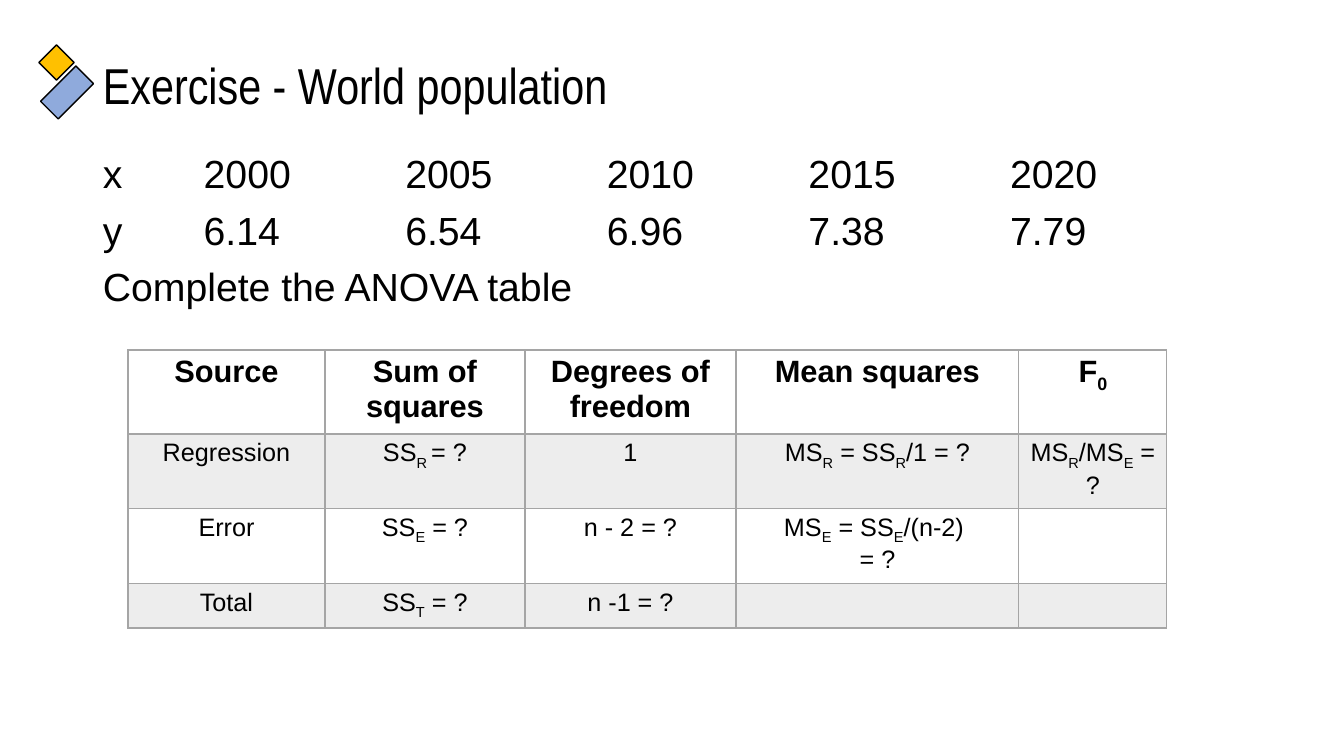
from dataclasses import dataclass

from lxml import etree
from pptx import Presentation
from pptx import util as u
from pptx.dml import color
from pptx.enum import shapes, text
from pptx.oxml import ns

SCALE = 914400 / 100.8
BLACK, GREY = "000000", "A5A5A5"
ANOVA_COLUMNS = (197, 200, 211, 283, 148)
ANOVA_ROWS = (79, 70, 71, 42)
TAB_COUNT = 10


@dataclass(frozen=True)
class Box:
    left: int
    top: int
    width: int
    height: int

    def emu(self) -> tuple:
        return tuple(px(n) for n in (self.left, self.top, self.width, self.height))


@dataclass(frozen=True)
class Tile:
    box: Box
    rotation: int
    fill: str


@dataclass(frozen=True)
class Style:
    size: int
    font: str = "Arial"
    bold: bool = False


def px(pixels: int) -> int:
    return u.Emu(round(pixels * SCALE))


def rgb(value: str) -> color.RGBColor:
    return color.RGBColor.from_string(value)


def child(parent, tag: str, **attributes: str):
    return etree.SubElement(parent, ns.qn(tag), attributes)


def style_run(run, style: Style) -> None:
    run.font.size = u.Pt(style.size)
    run.font.name = style.font
    run.font.bold = style.bold
    run.font.color.rgb = rgb(BLACK)


def draw_tile(group, tile: Tile) -> None:
    square = group.shapes.add_shape(shapes.MSO_SHAPE.RECTANGLE, *tile.box.emu())
    square.rotation = tile.rotation
    square.shadow.inherit = False
    square.fill.solid()
    square.fill.fore_color.rgb = rgb(tile.fill)
    square.line.color.rgb = rgb(BLACK)
    square.line.width = u.Pt(1)


def draw_text(slide, box: Box, content: str, style: Style, anchor):
    frame = slide.shapes.add_textbox(*box.emu()).text_frame
    frame.word_wrap = True
    frame.vertical_anchor = anchor
    frame.text = content
    for paragraph in frame.paragraphs:
        paragraph.line_spacing = 0.9
        for run in paragraph.runs:
            style_run(run, style)
    return frame


def justify_on_inch_tabs(paragraph) -> None:
    paragraph.alignment = text.PP_ALIGN.JUSTIFY
    paragraph.space_before = u.Pt(10)
    stops = child(paragraph._p.get_or_add_pPr(), "a:tabLst")
    for inch in range(1, TAB_COUNT + 1):
        child(stops, "a:tab", pos=str(u.Inches(inch)), algn="l")


def draw_borders(cell, top: int, bottom: int) -> None:
    properties = cell._tc.get_or_add_tcPr()
    for side, width in (("L", 1), ("R", 1), ("T", top), ("B", bottom)):
        border = child(properties, f"a:ln{side}", w=str(u.Pt(width)))
        child(child(border, "a:solidFill"), "a:srgbClr", val=GREY)


def shade(cell) -> None:
    cell.fill.solid()
    cell.fill.fore_color.rgb = rgb(GREY)
    tint = cell._tc.tcPr.find(f"{ns.qn('a:solidFill')}/{ns.qn('a:srgbClr')}")
    child(tint, "a:alpha", val="20000")


def write_formula(cell, formula: str, style: Style) -> None:
    frame = cell.text_frame
    for index, line in enumerate(formula.split("\n")):
        paragraph = frame.add_paragraph() if index else frame.paragraphs[0]
        paragraph.alignment = text.PP_ALIGN.CENTER
        for position, part in enumerate(line.split("|")):
            if part:
                run = paragraph.add_run()
                run.text = part
                style_run(run, style)
                if position % 2:
                    run.font._element.set("baseline", "-25000")


def draw_anova(slide, left: int, top: int, rows: tuple) -> None:
    box = Box(left, top, sum(ANOVA_COLUMNS), sum(ANOVA_ROWS))
    anova = slide.shapes.add_table(len(rows), len(ANOVA_COLUMNS), *box.emu()).table
    anova.first_row = anova.horz_banding = False
    for column, width in zip(anova.columns, ANOVA_COLUMNS):
        column.width = px(width)
    for row, height in zip(anova.rows, ANOVA_ROWS):
        row.height = px(height)
    for r, formulas in enumerate(rows):
        style = Style(18) if r else Style(22, bold=True)
        for c, formula in enumerate(formulas):
            cell = anova.cell(r, c)
            draw_borders(cell, top=2 if r == 1 else 1, bottom=1 if r else 2)
            if r % 2:
                shade(cell)
            else:
                cell.fill.background()
            write_formula(cell, formula, style)


TILES = (
    Tile(Box(42, 80, 50, 25), 135, "8FAADC"),
    Tile(Box(44, 50, 25, 25), 45, "FFC000"),
)
POPULATION = (
    ("x", ("2000", "2005", "2010", "2015", "2020")),
    ("y", ("6.14", "6.54", "6.96", "7.38", "7.79")),
)
ANOVA = (
    ("Source", "Sum of squares", "Degrees of freedom", "Mean squares", "F|0|"),
    ("Regression", "SS|R |= ?", "1", "MS|R| = SS|R|/1 = ?", "MS|R|/MS|E| = ?"),
    ("Error", "SS|E| = ?", "n - 2 = ?", "MS|E| = SS|E|/(n-2) \n= ?", ""),
    ("Total", "SS|T| = ?", "n -1 = ?", "", ""),
)

deck = Presentation()
deck.slide_width, deck.slide_height = px(1344), px(756)
slide = deck.slides.add_slide(deck.slide_layouts[6])

ornament = slide.shapes.add_group_shape()
for tile in TILES:
    draw_tile(ornament, tile)

draw_text(slide, Box(93, 15, 1159, 146), "Exercise - World population",
          Style(36, "Arial Narrow"), text.MSO_ANCHOR.MIDDLE)

series = [f"{name}\t" + "\t\t".join(values) for name, values in POPULATION]
exercise = draw_text(slide, Box(93, 150, 1159, 480),
                     "\n".join(series + ["Complete the ANOVA table"]),
                     Style(28), text.MSO_ANCHOR.TOP)
for paragraph in exercise.paragraphs:
    justify_on_inch_tabs(paragraph)

draw_anova(slide, 128, 350, ANOVA)
deck.save("out.pptx")
